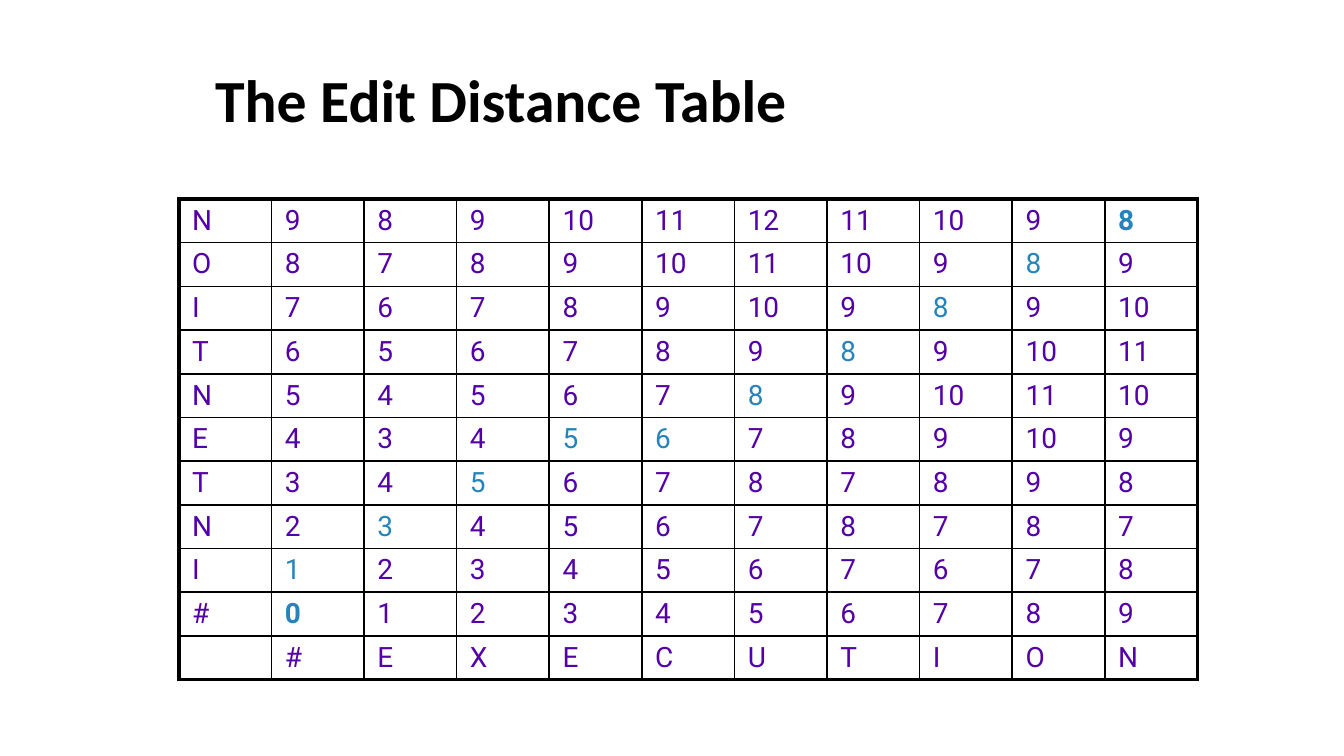
from pptx import Presentation
from pptx.dml.color import RGBColor
from pptx.enum.text import MSO_ANCHOR, PP_ALIGN
from pptx.oxml import parse_xml
from pptx.oxml.ns import nsdecls
from pptx.util import Inches, Pt

# Target letters run upward, source letters run along the last row
DISTANCES = [
    "N 9 8 9 10 11 12 11 10 9 8",
    "O 8 7 8 9 10 11 10 9 8 9",
    "I 7 6 7 8 9 10 9 8 9 10",
    "T 6 5 6 7 8 9 8 9 10 11",
    "N 5 4 5 6 7 8 9 10 11 10",
    "E 4 3 4 5 6 7 8 9 10 9",
    "T 3 4 5 6 7 8 7 8 9 8",
    "N 2 3 4 5 6 7 8 7 8 7",
    "I 1 2 3 4 5 6 7 6 7 8",
    "# 0 1 2 3 4 5 6 7 8 9",
]
ALPHABET_ROW = ["", "#", *"EXECUTION"]

# Cheapest alignment as (row, column), from the end back to the start
ALIGNMENT = [(0, 10), (1, 9), (2, 8), (3, 7), (4, 6), (5, 5),
             (5, 4), (6, 3), (7, 2), (8, 1), (9, 1)]


def color(hex_value):
    return RGBColor.from_string(hex_value)


class DistanceSlide:
    black, purple, blue = "000000", "5400A8", "2584BB"
    thin, thick = 1, 2.25
    entry_size = 15

    def __init__(self, presentation):
        self.slide = presentation.slides.add_slide(presentation.slide_layouts[5])

    def style(self, paragraph, font_name, size, hex_value, bold=False):
        paragraph.alignment = PP_ALIGN.LEFT
        font = paragraph.font
        font.name, font.size, font.bold = font_name, Pt(size), bold
        font.color.rgb = color(hex_value)

    def title(self, text, left, top, width, height):
        heading = self.slide.shapes.title
        heading.left, heading.top = Inches(left), Inches(top)
        heading.width, heading.height = Inches(width), Inches(height)
        frame = heading.text_frame
        frame.text = text
        frame.vertical_anchor = MSO_ANCHOR.TOP
        self.style(frame.paragraphs[0], "Calibri", 32, self.black, bold=True)

    def borders(self, cell, outer_sides):
        properties = cell._tc.get_or_add_tcPr()
        for index, side in enumerate("LRTB"):
            points = self.thick if side in outer_sides else self.thin
            properties.insert(index, parse_xml(
                f'<a:ln{side} {nsdecls("a")} w="{Pt(points)}"><a:solidFill>'
                f'<a:srgbClr val="{self.black}"/></a:solidFill></a:ln{side}>'))

    def entry(self, cell, value, hex_value, bold):
        cell.fill.background()
        cell.margin_top = cell.margin_bottom = Inches(0.04)
        paragraph = cell.text_frame.paragraphs[0]
        if value:
            paragraph.add_run().text = value
        else:  # keeps the blank corner as low as the other cells
            paragraph._p.append(parse_xml(
                f'<a:endParaRPr {nsdecls("a")} sz="{self.entry_size * 100}"/>'))
        self.style(paragraph, "Roboto", self.entry_size, hex_value, bold)

    def table(self, rows, alignment, left, top, width, height):
        row_count, column_count = len(rows), len(rows[0])
        grid = self.slide.shapes.add_table(
            row_count, column_count, Inches(left), Inches(top),
            Inches(width), Inches(height)).table
        grid.first_row = grid.horz_banding = False
        endpoints = (alignment[0], alignment[-1])
        for r, row in enumerate(rows):
            for c, value in enumerate(row):
                cell = grid.cell(r, c)
                self.entry(cell, value,
                           self.blue if (r, c) in alignment else self.purple,
                           bold=(r, c) in endpoints)
                edges = {"L": c == 0, "R": c == column_count - 1,
                         "T": r == 0, "B": r == row_count - 1}
                self.borders(cell, [side for side in edges if edges[side]])


def main():
    presentation = Presentation()
    presentation.slide_width = Inches(10)
    presentation.slide_height = presentation.slide_width * 9 // 16

    page = DistanceSlide(presentation)
    rows = [line.split() for line in DISTANCES] + [ALPHABET_ROW]
    page.table(rows, ALIGNMENT, 1.33, 1.48, 7.58, 3.58)
    page.title("The Edit Distance Table", 1.5, 0.42, 8.17, 0.81)

    presentation.save("out.pptx")


if __name__ == "__main__":
    main()
